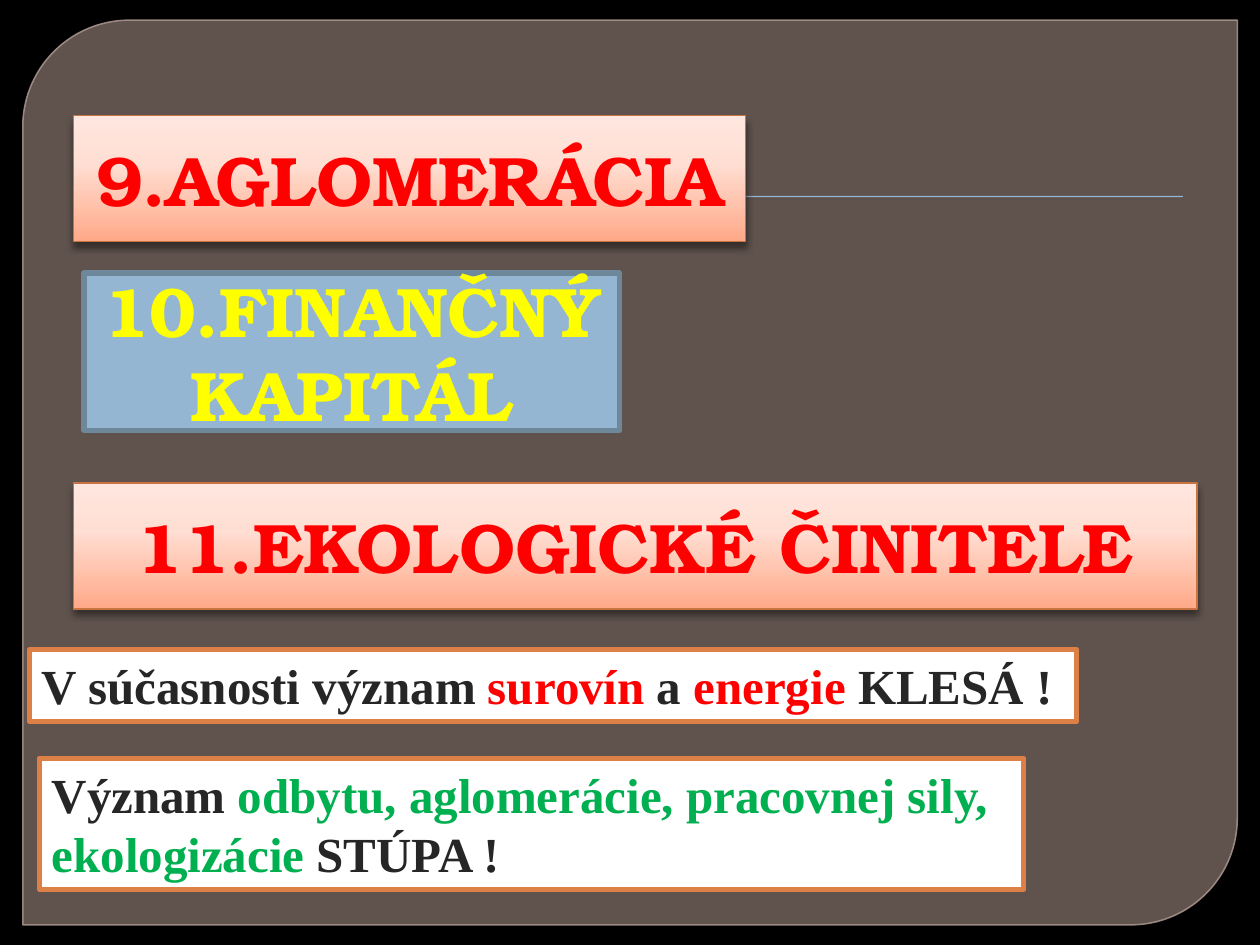
import copy
import dataclasses

import lxml.etree
import pptx
import pptx.dml.color
import pptx.enum.shapes
import pptx.enum.text
import pptx.oxml.ns
import pptx.util

Pt = pptx.util.Pt
RGB = pptx.dml.color.RGBColor.from_string
qn = pptx.oxml.ns.qn
RECTANGLE = pptx.enum.shapes.MSO_SHAPE.RECTANGLE


@dataclasses.dataclass(frozen=True)
class Theme:
    background: str = "000000"
    panel: str = "948079"
    panel_edge: str = "A9948D"
    blue: str = "94B6D2"
    blue_edge: str = "6D879B"
    peach: tuple = ((0, "FFA988"), (0.62, "FFDED3"), (1, "FFE7DF"))
    peach_edge: str = "C97440"
    note: str = "FFFFFF"
    note_edge: str = "DD8047"
    ink: str = "262626"
    red: str = "FF0000"
    yellow: str = "FFFF00"
    green: str = "00B050"
    heading_font: str = "TeX Gyre Bonum"
    note_font: str = "Times New Roman"
    heading_size: int = 40
    note_size: int = 28


THEME = Theme()


def place(shape, left, top, width, height):
    shape.left, shape.top = Pt(left), Pt(top)
    shape.width, shape.height = Pt(width), Pt(height)


def add_block(slide, box, kind=RECTANGLE):
    return slide.shapes.add_shape(kind, *map(Pt, box))


def paint(shape, fill, edge=None, weight=0):
    shape.fill.solid()
    shape.fill.fore_color.rgb = RGB(fill)
    outline(shape, edge, weight)


def outline(shape, edge, weight):
    if edge:
        shape.line.color.rgb = RGB(edge)
        shape.line.width = Pt(weight)
    else:
        shape.line.fill.background()
    shape.shadow.inherit = False


def paint_peach(shape):
    shape.fill.gradient()
    shape.fill.gradient_angle = 90
    stop_list = shape._element.spPr.find(".//" + qn("a:gsLst"))
    stop_list.append(copy.deepcopy(stop_list[0]))
    for stop, (position, color) in zip(shape.fill.gradient_stops, THEME.peach):
        stop.position = position
        stop.color.rgb = RGB(color)
    outline(shape, THEME.peach_edge, 0.75)
    cast_shadow(shape, 43, 4, 3)


def set_opacity(color_element, percent):
    alpha = lxml.etree.SubElement(color_element, qn("a:alpha"))
    alpha.set("val", str(percent * 1000))


def cast_shadow(shape, opacity, blur, distance):
    effects = shape._element.spPr.find(qn("a:effectLst"))
    shadow = lxml.etree.SubElement(effects, qn("a:outerShdw"))
    shadow.set("blurRad", str(Pt(blur)))
    shadow.set("dist", str(Pt(distance)))
    shadow.set("dir", "5400000")
    shadow.set("rotWithShape", "0")
    color = lxml.etree.SubElement(shadow, qn("a:srgbClr"))
    color.set("val", "000000")
    set_opacity(color, opacity)


def format_run(run, font, size, color):
    run.font.name = font
    run.font.size = Pt(size)
    run.font.bold = True
    run.font.color.rgb = RGB(color)


def write_heading(shape, text, color):
    frame = shape.text_frame
    frame.text = text
    frame.word_wrap = True
    frame.auto_size = pptx.enum.text.MSO_AUTO_SIZE.NONE
    frame.vertical_anchor = pptx.enum.text.MSO_ANCHOR.MIDDLE
    heading = frame.paragraphs[0]
    heading.alignment = pptx.enum.text.PP_ALIGN.CENTER
    format_run(heading.runs[0], THEME.heading_font, THEME.heading_size, color)


def add_backdrop(slide):
    slide.background.fill.solid()
    slide.background.fill.fore_color.rgb = RGB(THEME.background)
    panel = add_block(slide, (13, 11.5, 694, 517),
                      pptx.enum.shapes.MSO_SHAPE.ROUND_2_DIAG_RECTANGLE)
    panel.adjustments[0] = 0.118
    panel.adjustments[1] = 0
    paint(panel, THEME.panel, THEME.panel_edge, 0.87)
    panel_color, edge_color = panel._element.spPr.iter(qn("a:srgbClr"))
    set_opacity(panel_color, 65)
    set_opacity(edge_color, 88)
    rule = add_block(slide, (46, 112, 630, 0.75))
    paint(rule, THEME.blue)
    cast_shadow(rule, 75, 1, 1)


def add_note(slide, box, lines):
    note = slide.shapes.add_textbox(*map(Pt, box))
    paint(note, THEME.note, THEME.note_edge, 3)
    frame = note.text_frame
    frame.word_wrap = False
    frame.auto_size = pptx.enum.text.MSO_AUTO_SIZE.SHAPE_TO_FIT_TEXT
    for index, phrases in enumerate(lines):
        line = frame.add_paragraph() if index else frame.paragraphs[0]
        for text, color in phrases:
            run = line.add_run()
            run.text = text
            format_run(run, THEME.note_font, THEME.note_size, color)


def main():
    deck = pptx.Presentation()
    deck.slide_width, deck.slide_height = Pt(720), Pt(540)
    slide = deck.slides.add_slide(deck.slide_layouts[5])
    add_backdrop(slide)

    agglomeration = slide.shapes.title
    slide.shapes._spTree.append(agglomeration._element)
    place(agglomeration, 42, 66, 384, 72)
    paint_peach(agglomeration)
    write_heading(agglomeration, "9.AGLOMERÁCIA", THEME.red)

    capital = add_block(slide, (48, 156, 306, 90))
    paint(capital, THEME.blue, THEME.blue_edge, 3)
    write_heading(capital, "10.FINANČNÝ KAPITÁL", THEME.yellow)

    ecology = add_block(slide, (42, 276, 642, 72))
    paint_peach(ecology)
    write_heading(ecology, "11.EKOLOGICKÉ ČINITELE", THEME.red)

    add_note(slide, (16.75, 371.25, 598.5, 41), [
        [("V súčasnosti význam ", THEME.ink), ("surovín", THEME.red),
         (" a ", THEME.ink), ("energie", THEME.red), (" KLESÁ !", THEME.ink)],
    ])
    add_note(slide, (22.5, 433.25, 562.5, 75), [
        [("Význam ", THEME.ink),
         ("odbytu, aglomerácie, pracovnej sily,", THEME.green)],
        [("ekologizácie ", THEME.green), ("STÚPA !", THEME.ink)],
    ])
    deck.save("out.pptx")


if __name__ == "__main__":
    main()
